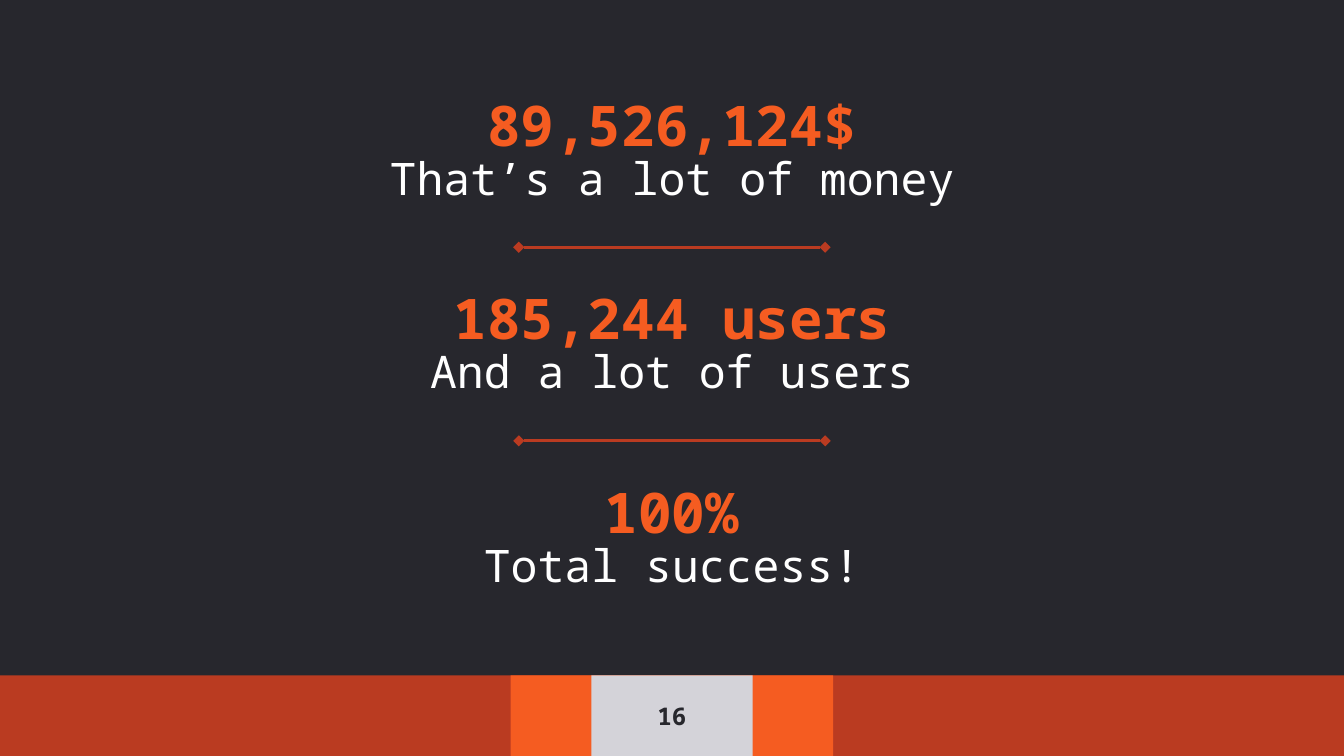
from lxml import etree
from pptx import Presentation
from pptx.dml.color import RGBColor
from pptx.enum.shapes import MSO_CONNECTOR, MSO_SHAPE
from pptx.enum.text import MSO_ANCHOR, PP_ALIGN
from pptx.oxml.ns import qn
from pptx.util import Inches, Pt

RECT = MSO_SHAPE.RECTANGLE
STRAIGHT = MSO_CONNECTOR.STRAIGHT
TOP, MIDDLE, BOTTOM = MSO_ANCHOR.TOP, MSO_ANCHOR.MIDDLE, MSO_ANCHOR.BOTTOM
CENTER = PP_ALIGN.CENTER

FONT = "Noto Sans Mono"
DARK = RGBColor(0x27, 0x27, 0x2D)
RED = RGBColor(0xBA, 0x3B, 0x21)
ORANGE = RGBColor(0xF5, 0x5C, 0x21)
GRAY = RGBColor(0xD4, 0xD3, 0xD9)
WHITE = RGBColor(0xFF, 0xFF, 0xFF)

SLIDE_W = 10
SLIDE_H = SLIDE_W * 9 / 16
FOOTER_H = 0.6
FOOTER_TOP = SLIDE_H - FOOTER_H
ROW_STEP = 1.44


def add_text(box, text, size, color, bold, anchor):
    """Add a centred one-line text box and return its paragraph."""
    sp = s.shapes.add_textbox(*map(Inches, box))
    tf = sp.text_frame
    tf.word_wrap = True
    tf.vertical_anchor = anchor
    tf.margin_left = tf.margin_right = Inches(0.1)
    tf.margin_top = tf.margin_bottom = Inches(0.1)
    p = tf.paragraphs[0]
    p.text = text
    p.alignment = CENTER
    p.font.name = FONT
    p.font.size = Pt(size)
    p.font.bold = bold
    p.font.color.rgb = color
    return p


prs = Presentation()
prs.slide_width, prs.slide_height = Inches(SLIDE_W), Inches(SLIDE_H)
s = prs.slides.add_slide(prs.slide_layouts[6])
s.background.fill.solid()
s.background.fill.fore_color.rgb = DARK

# Footer: centred bands, each narrower than the one behind it
for width, color in [(SLIDE_W, RED), (2.4, ORANGE), (1.2, GRAY)]:
    sp = s.shapes.add_shape(RECT, Inches((SLIDE_W - width) / 2), Inches(FOOTER_TOP),
                            Inches(width), Inches(FOOTER_H))
    sp.shadow.inherit = False
    sp.fill.solid()
    sp.fill.fore_color.rgb = color
    sp.line.fill.background()

# Big numbers with captions
facts = [
    ("89,526,124$", "That’s a lot of money"),
    ("185,244 users", "And a lot of users"),
    ("100%", "Total success!"),
]
for i, (number, caption) in enumerate(facts):
    top = 0.29 + i * ROW_STEP
    add_text((0.75, top, 8.5, 0.98), number, 30, ORANGE, True, BOTTOM)
    p = add_text((0.75, top + 0.67, 8.5, 0.51), caption, 24, WHITE, False, TOP)
    p.line_spacing = 1.15
    p.space_before = Pt(6)

# Slide number
add_text((4.4, FOOTER_TOP, 1.2, FOOTER_H), "16", 13, DARK, True, MIDDLE)

# Dividers between the facts
for i in range(len(facts) - 1):
    y = Inches(1.84 + i * ROW_STEP)
    divider = s.shapes.add_connector(STRAIGHT, Inches(3.86), y, Inches(6.14), y)
    divider.line.color.rgb = RED
    divider.line.width = Pt(1.5)
    spPr = divider._element.spPr
    ln = spPr.find(qn("a:ln"))
    for end in ("a:headEnd", "a:tailEnd"):
        etree.SubElement(ln, qn(end), type="diamond")
    etree.SubElement(spPr, qn("a:effectLst"))

prs.save("out.pptx")
